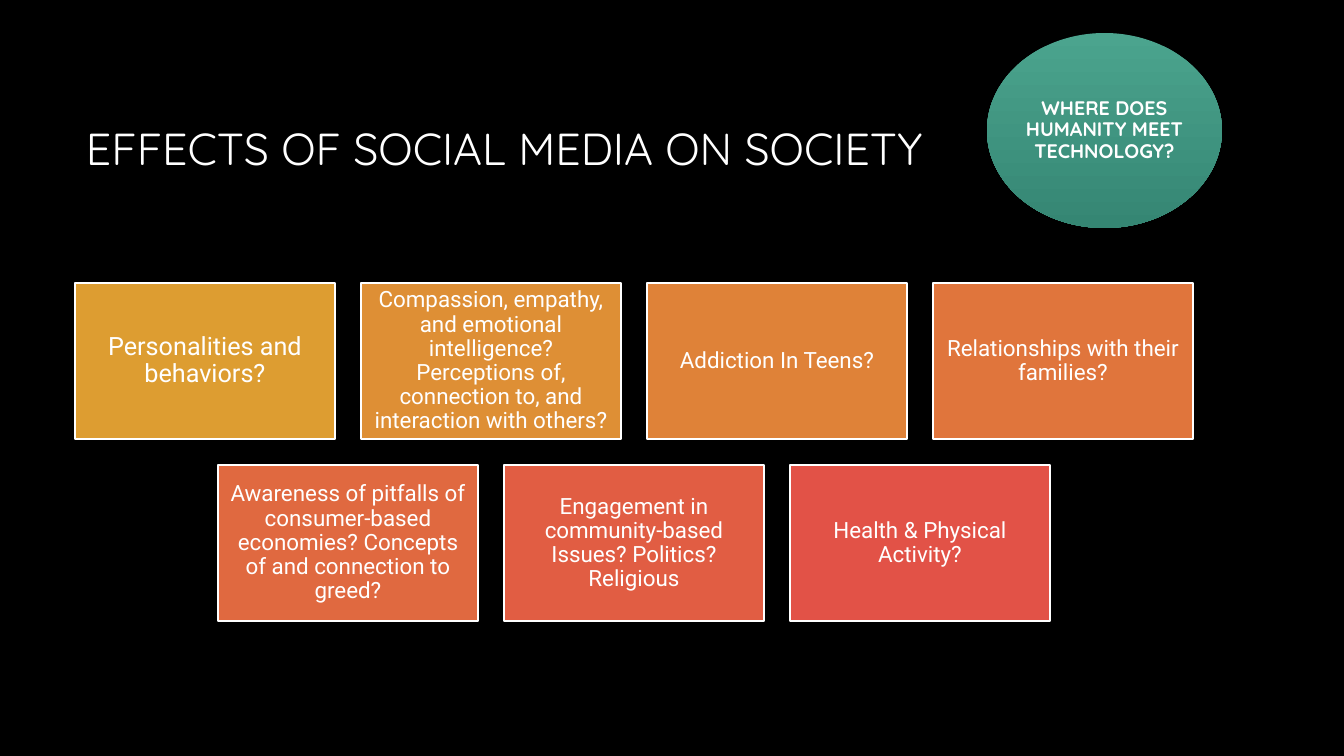
"""Build the slide on the effects of social media on society."""
from pptx import Presentation, util as u
from pptx.dml.color import RGBColor
from pptx.enum import shapes, text

PX = 914400 / 100.8
COLOURS = {
    "background": "000000", "text": "FFFFFF", "border": "FFFFFF",
    "badge_top": "4BA48E", "badge_bottom": "358673",
}
HEADING, BODY = "Quicksand", "Roboto"
CARD_WIDTH, CARD_HEIGHT, GAP = 260, 156, 26
ROWS_CENTRE, ROWS_TOP = 634, 283
ROWS = [
    [
        ("Personalities and behaviors?", "DD9D31", 18),
        ("Compassion, empathy, and emotional intelligence? Perceptions of, "
         "connection to, and interaction with others?", "DE8F35", 16),
        ("Addiction In Teens?", "DF8238", 16),
        ("Relationships with their families?", "E0753C", 16),
    ],
    [
        ("Awareness of pitfalls of consumer-based economies? "
         "Concepts of and connection to greed?", "E06940", 16),
        ("Engagement in community-based Issues? Politics? Religious", "E15D43", 16),
        ("Health & Physical Activity?", "E25247", 16),
    ],
]


def px(length):
    return u.Emu(round(length * PX))


def rgb(colour):
    return RGBColor.from_string(COLOURS.get(colour, colour))


class Deck:
    def __init__(self):
        self.prs = Presentation()
        self.prs.slide_width, self.prs.slide_height = px(1344), px(756)
        self.slide = self.prs.slides.add_slide(self.prs.slide_layouts[5])
        fill = self.slide.background.fill
        fill.solid()
        fill.fore_color.rgb = rgb("background")

    def label(self, shape, words, font, size, align, inset, bold=False, spacing=0.9):
        frame = shape.text_frame
        frame.word_wrap = True
        frame.auto_size = text.MSO_AUTO_SIZE.NONE
        frame.vertical_anchor = text.MSO_ANCHOR.MIDDLE
        frame.margin_left = frame.margin_right = px(inset)
        frame.margin_top = frame.margin_bottom = px(inset)
        paragraph = frame.paragraphs[0]
        paragraph.alignment = align
        paragraph.line_spacing = spacing
        run = paragraph.add_run()
        run.text = words
        run.font.name, run.font.size, run.font.bold = font, u.Pt(size), bold
        run.font.color.rgb = rgb("text")

    def title(self, words, left, top, width, height):
        heading = self.slide.shapes.title
        heading.left, heading.top = px(left), px(top)
        heading.width, heading.height = px(width), px(height)
        self.label(heading, words, HEADING, 32, text.PP_ALIGN.LEFT, 10, spacing=1.0)

    def shape(self, kind, left, top, width, height):
        shape = self.slide.shapes.add_shape(kind, px(left), px(top), px(width), px(height))
        shape.shadow.inherit = False
        return shape

    def card(self, words, colour, size, left, top):
        card = self.shape(shapes.MSO_SHAPE.RECTANGLE, left, top, CARD_WIDTH, CARD_HEIGHT)
        card.fill.solid()
        card.fill.fore_color.rgb = rgb(colour)
        card.line.color.rgb = rgb("border")
        card.line.width = u.Pt(1.5)
        self.label(card, words, BODY, size, text.PP_ALIGN.CENTER, 7)

    def badge(self, words, left, top, width, height):
        badge = self.shape(shapes.MSO_SHAPE.OVAL, left, top, width, height)
        badge.fill.gradient()
        badge.fill.gradient_angle = 270
        for stop, place, colour in zip(badge.fill.gradient_stops, (0, 1),
                                       ("badge_top", "badge_bottom")):
            stop.position = place
            stop.color.rgb = rgb(colour)
        badge.line.fill.background()
        self.label(badge, words, HEADING, 14, text.PP_ALIGN.CENTER, 2, bold=True)


deck = Deck()
deck.title("EFFECTS OF SOCIAL MEDIA ON SOCIETY", 76, 68, 1117, 160)
for row, cards in enumerate(ROWS):
    row_width = len(cards) * (CARD_WIDTH + GAP) - GAP
    row_left = ROWS_CENTRE - row_width // 2
    row_top = ROWS_TOP + row * (CARD_HEIGHT + GAP)
    for column, (question, colour, size) in enumerate(cards):
        deck.card(question, colour, size, row_left + column * (CARD_WIDTH + GAP), row_top)
deck.badge("WHERE DOES HUMANITY MEET TECHNOLOGY?", 987, 33, 235, 195)
deck.prs.save("out.pptx")
